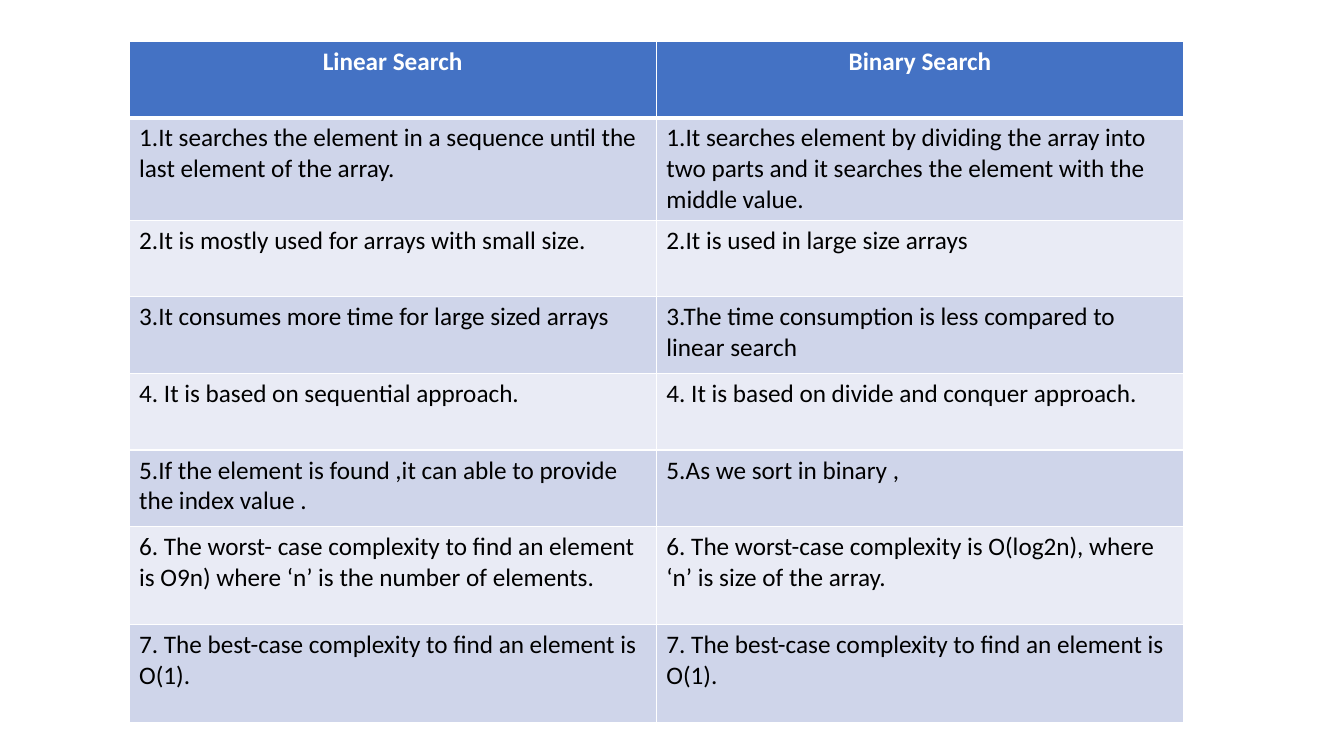
from dataclasses import dataclass

from lxml.etree import SubElement
from pptx import Presentation
from pptx.dml.color import RGBColor
from pptx.enum.text import PP_ALIGN
from pptx.oxml.ns import qn
from pptx.table import _Cell
from pptx.util import Emu, Pt

PX = 9144
COLORS = {
    "header": "4472C4",
    "odd": "CFD5EA",
    "even": "E9EBF5",
    "white": "FFFFFF",
    "black": "000000",
}


@dataclass(frozen=True)
class Row:
    height: int
    linear: str
    binary: str


ROWS = [
    Row(76, "Linear Search", "Binary Search"),
    Row(97, "1.It searches the element in a sequence until the last element of the array.",
        "1.It searches element by dividing the array into two parts and it searches "
        "the element with the middle value."),
    Row(76, "2.It is mostly used for arrays with small size.",
        "2.It is used in large size arrays"),
    Row(76, "3.It consumes more time for large sized arrays",
        "3.The time consumption is less compared to linear search"),
    Row(76, "4. It is based on sequential approach.",
        "4. It is based on divide and conquer approach."),
    Row(76, "5.If the element is found ,it can able to provide the index value .",
        "5.As we sort in binary ,"),
    Row(97, "6. The worst- case complexity to find an element is O9n) where ‘n’ is "
        "the number of elements.",
        "6. The worst-case complexity is O(log2n), where ‘n’ is size of the array."),
    Row(97, "7. The best-case complexity to find an element is O(1).",
        "7. The best-case complexity to find an element is O(1)."),
]


def px(n: int) -> Emu:
    return Emu(n * PX)


def rgb(name: str) -> RGBColor:
    return RGBColor.from_string(COLORS[name])


def write(cell: _Cell, text: str, *, color: str = "black", bold: bool = False,
          align: PP_ALIGN = PP_ALIGN.LEFT, size: int = 18) -> None:
    p = cell.text_frame.paragraphs[0]
    p.alignment = align
    r = p.add_run()
    r.text = text
    r.font.name = "Calibri"
    r.font.size = Pt(size)
    r.font.bold = bold
    r.font.color.rgb = rgb(color)


def add_borders(cell: _Cell, top: int, bottom: int) -> None:
    tc_pr = cell._tc.get_or_add_tcPr()
    for side, width in (("L", 1), ("R", 1), ("T", top), ("B", bottom)):
        ln = SubElement(tc_pr, qn(f"a:ln{side}"), w=str(Pt(width)))
        fill = SubElement(ln, qn("a:solidFill"))
        SubElement(fill, qn("a:srgbClr"), val=COLORS["white"])


def fill_row(cells: list[_Cell], row: Row, i: int) -> None:
    for cell, text in zip(cells, (row.linear, row.binary)):
        add_borders(cell, 3 if i == 1 else 1, 3 if i == 0 else 1)
        cell.fill.solid()
        if i == 0:
            cell.fill.fore_color.rgb = rgb("header")
            write(cell, text, color="white", bold=True, align=PP_ALIGN.CENTER)
        else:
            cell.fill.fore_color.rgb = rgb("odd" if i % 2 else "even")
            write(cell, text)


def main() -> None:
    prs = Presentation()
    prs.slide_width, prs.slide_height = px(1333), px(750)
    slide = prs.slides.add_slide(prs.slide_layouts.get_by_name("Blank"))
    s = slide.shapes.add_table(len(ROWS), 2, px(128), px(41), px(1046), px(678))
    for i, row in enumerate(ROWS):
        s.table.rows[i].height = px(row.height)
        fill_row(list(s.table.rows[i].cells), row, i)
    s.height = px(678)
    prs.save("out.pptx")


if __name__ == "__main__":
    main()
